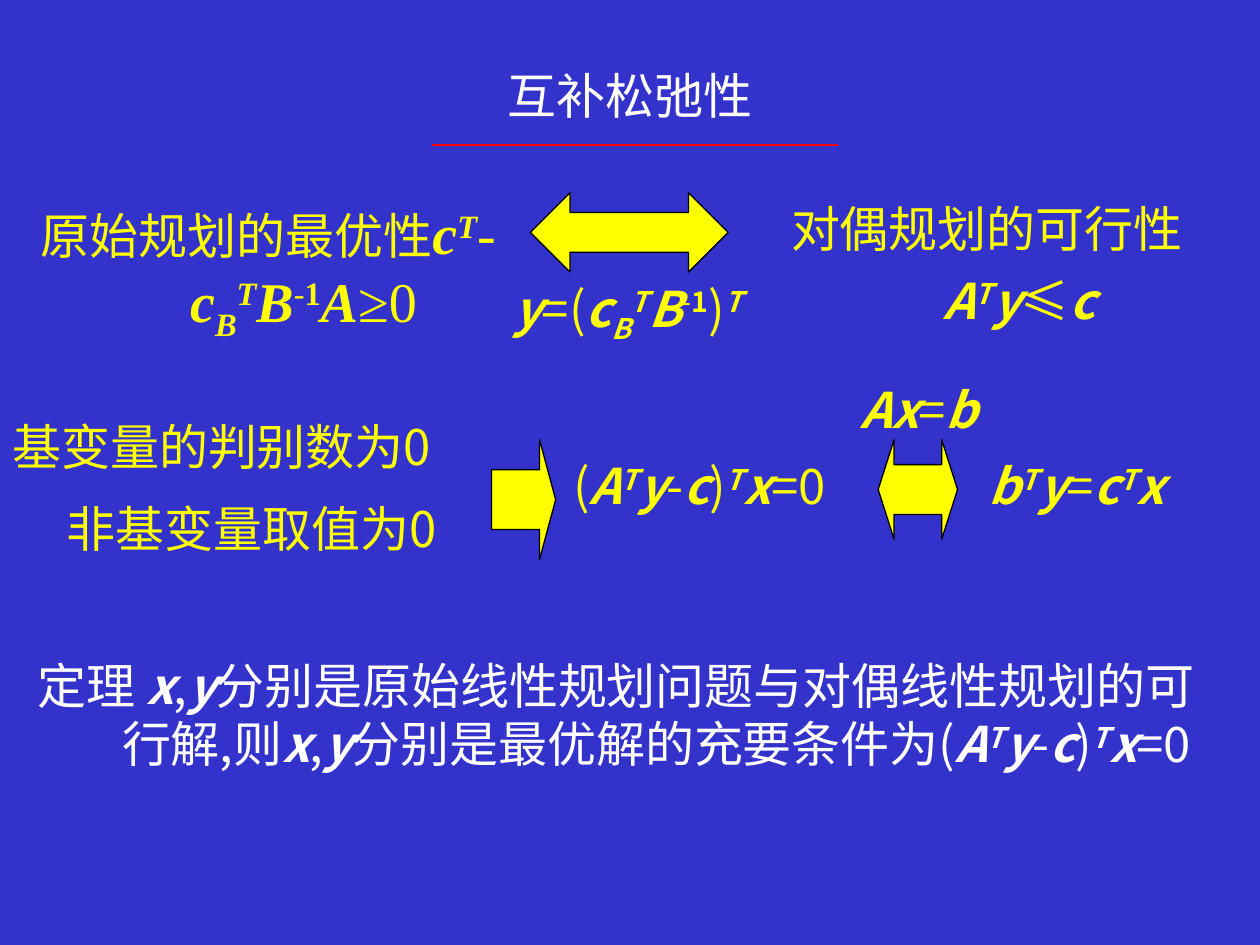
import lxml.etree
import pptx
import pptx.dml.color
import pptx.enum.dml
import pptx.enum.shapes
import pptx.enum.text
import pptx.oxml.ns
import pptx.util

SHAPES = pptx.enum.shapes.MSO_SHAPE
ALIGN = pptx.enum.text.PP_ALIGN
ANCHOR = pptx.enum.text.MSO_ANCHOR
BLUE, YELLOW, WHITE, BLACK, RED = "3333CC", "FFFF00", "FFFFFF", "000000", "FF0000"
SANS, SERIF = "Noto Sans CJK SC", "Times New Roman"

STYLES = {
    "plain": (False, False, 0),
    "vector": (True, True, 0),
    "power": (True, True, 30000),
    "index": (True, True, -25000),
    "minus": (False, False, 30000),
    "one": (True, False, 30000),
}


def plain(text, **font):
    return (text, "plain", font)


def vector(text, **font):
    return (text, "vector", font)


def transpose(**font):
    return ("T", "power", font)


def basis_product(**font):
    return [vector("c", **font), ("B", "index", font), transpose(**font), vector("B", **font),
            ("-", "minus", font), ("1", "one", font)]


BIG = {"size": 32, "name": SERIF}
SLACKNESS = [plain("("), vector("A"), transpose(), vector("y"), plain("-"), vector("c"),
             plain(")"), transpose(), vector("x"), plain("=0")]
PAIR = [vector("x"), plain(","), vector("y")]

TEXTS = [
    ((0.5, 0.13, 9, 1.25), WHITE, 0, 0.92, ANCHOR.MIDDLE,
     [(ALIGN.CENTER, [plain("互补松弛性")])]),
    ((0.2, 1.53, 3.86, 1.26), YELLOW, 8, 0.67, ANCHOR.TOP,
     [(ALIGN.CENTER, [plain("原始规划的最优性"), vector("c", **BIG), transpose(**BIG),
                      plain("-", **BIG), *basis_product(**BIG), vector("A", **BIG),
                      plain("≥0 ", **BIG)])]),
    ((3.98, 2.16, 2.52, 0.71), YELLOW, 7, 0.67, ANCHOR.TOP,
     [(ALIGN.LEFT, [vector("y"), plain("=("), *basis_product(), plain(")"), transpose()])]),
    ((6.18, 1.53, 3.82, 1.21), YELLOW, 7, 0.67, ANCHOR.TOP,
     [(ALIGN.LEFT, [plain("对偶规划的可行性")]),
      (ALIGN.CENTER, [vector("A"), transpose(), vector("y"), plain("≤"), vector("c")])]),
    ((0, 3.26, 4.17, 0.63), YELLOW, 7, 0.67, ANCHOR.TOP,
     [(ALIGN.LEFT, [plain("基变量的判别数为0")])]),
    ((0.43, 3.91, 4.17, 0.63), YELLOW, 7, 0.67, ANCHOR.TOP,
     [(ALIGN.LEFT, [plain("非基变量取值为0")])]),
    ((4.45, 3.57, 2.44, 0.63), YELLOW, 7, 0.67, ANCHOR.TOP, [(ALIGN.LEFT, SLACKNESS)]),
    ((7.68, 3.57, 1.73, 0.63), YELLOW, 7, 0.67, ANCHOR.TOP,
     [(ALIGN.CENTER, [vector("b"), transpose(), vector("y"), plain("="), vector("c"),
                      transpose(), vector("x")])]),
    ((6.73, 2.96, 1.42, 0.71), YELLOW, 7, 0.67, ANCHOR.TOP,
     [(ALIGN.LEFT, [vector("Ax"), plain("="), vector("b")])]),
    ((0.2, 5.15, 9.65, 1.73), WHITE, 7, 0.67, ANCHOR.TOP,
     [(ALIGN.LEFT, [plain("定理 "), *PAIR,
                    plain("分别是原始线性规划问题与对偶线性规划的可行解,则"), *PAIR,
                    plain("分别是最优解的充要条件为"), *SLACKNESS])]),
]

ARROWS = [
    (SHAPES.LEFT_RIGHT_ARROW, (4.21, 1.53, 1.57, 0.63), 0, (0.5, 0.5)),
    (SHAPES.DOWN_ARROW, (3.68, 3.71, 0.95, 0.51), 270, (0.5, 0.25)),
    (SHAPES.UP_DOWN_ARROW, (6.89, 3.57, 0.79, 0.63), 270, (0.5, 0.2)),
]
TITLE_RULE = (3.43, 1.15, 6.65, 1.15)


def inches(values):
    return [pptx.util.Inches(value) for value in values]


def paint(color_format, color):
    color_format.rgb = pptx.dml.color.RGBColor.from_string(color)


def outline(line, color):
    line.width = pptx.util.Pt(0.75)
    line.fill.solid()
    paint(line.color, color)


def add_run(paragraph, content, color):
    text, style, options = content
    run = paragraph.add_run()
    run.text = text
    bold, italic, baseline = STYLES[style]
    font = run.font
    font.size = pptx.util.Pt(options.get("size", 28))
    font.name = options.get("name", SANS)
    font.bold, font.italic = bold, italic
    paint(font.color, color)
    properties = run._r.get_or_add_rPr()
    if baseline:
        properties.set("baseline", str(baseline))
    east_asian = lxml.etree.SubElement(properties, pptx.oxml.ns.qn("a:ea"))
    east_asian.set("typeface", font.name)


def add_text(slide, box, color, space, indent, anchor, paragraphs):
    frame = slide.shapes.add_textbox(*inches(box)).text_frame
    frame.word_wrap = True
    frame.vertical_anchor = anchor
    hanging = pptx.util.Inches(indent)
    for number, (alignment, runs) in enumerate(paragraphs):
        paragraph = frame.add_paragraph() if number else frame.paragraphs[0]
        paragraph.alignment = alignment
        if number:
            paragraph.space_before = pptx.util.Pt(space)
        properties = paragraph._p.get_or_add_pPr()
        properties.set("marL", str(hanging))
        properties.set("indent", str(-hanging))
        for content in runs:
            add_run(paragraph, content, color)


def set_proportions(shape, proportions):
    guides = shape._element.spPr.find(".//" + pptx.oxml.ns.qn("a:avLst"))
    for guide in list(guides):
        guides.remove(guide)
    for number, share in enumerate(proportions, start=1):
        guide = lxml.etree.SubElement(guides, pptx.oxml.ns.qn("a:gd"))
        guide.set("name", f"adj{number}")
        guide.set("fmla", f"val {round(share * 100000)}")


def add_arrow(slide, kind, box, rotation, proportions):
    shape = slide.shapes.add_shape(kind, *inches(box))
    shape.rotation = rotation
    set_proportions(shape, proportions)
    shape.shadow.inherit = False
    shape.fill.solid()
    paint(shape.fill.fore_color, YELLOW)
    outline(shape.line, BLACK)


def add_rule(slide, ends, color):
    connector = slide.shapes.add_connector(
        pptx.enum.shapes.MSO_CONNECTOR.STRAIGHT, *inches(ends))
    outline(connector.line, color)
    lxml.etree.SubElement(connector._element.spPr, pptx.oxml.ns.qn("a:effectLst"))


def main():
    presentation = pptx.Presentation()
    presentation.slide_width, presentation.slide_height = inches((10, 7.5))
    slide = presentation.slides.add_slide(presentation.slide_layouts[6])
    slide.background.fill.solid()
    paint(slide.background.fill.fore_color, BLUE)
    for text in TEXTS:
        add_text(slide, *text)
    for arrow in ARROWS:
        add_arrow(slide, *arrow)
    add_rule(slide, TITLE_RULE, RED)
    presentation.save("out.pptx")


if __name__ == "__main__":
    main()
